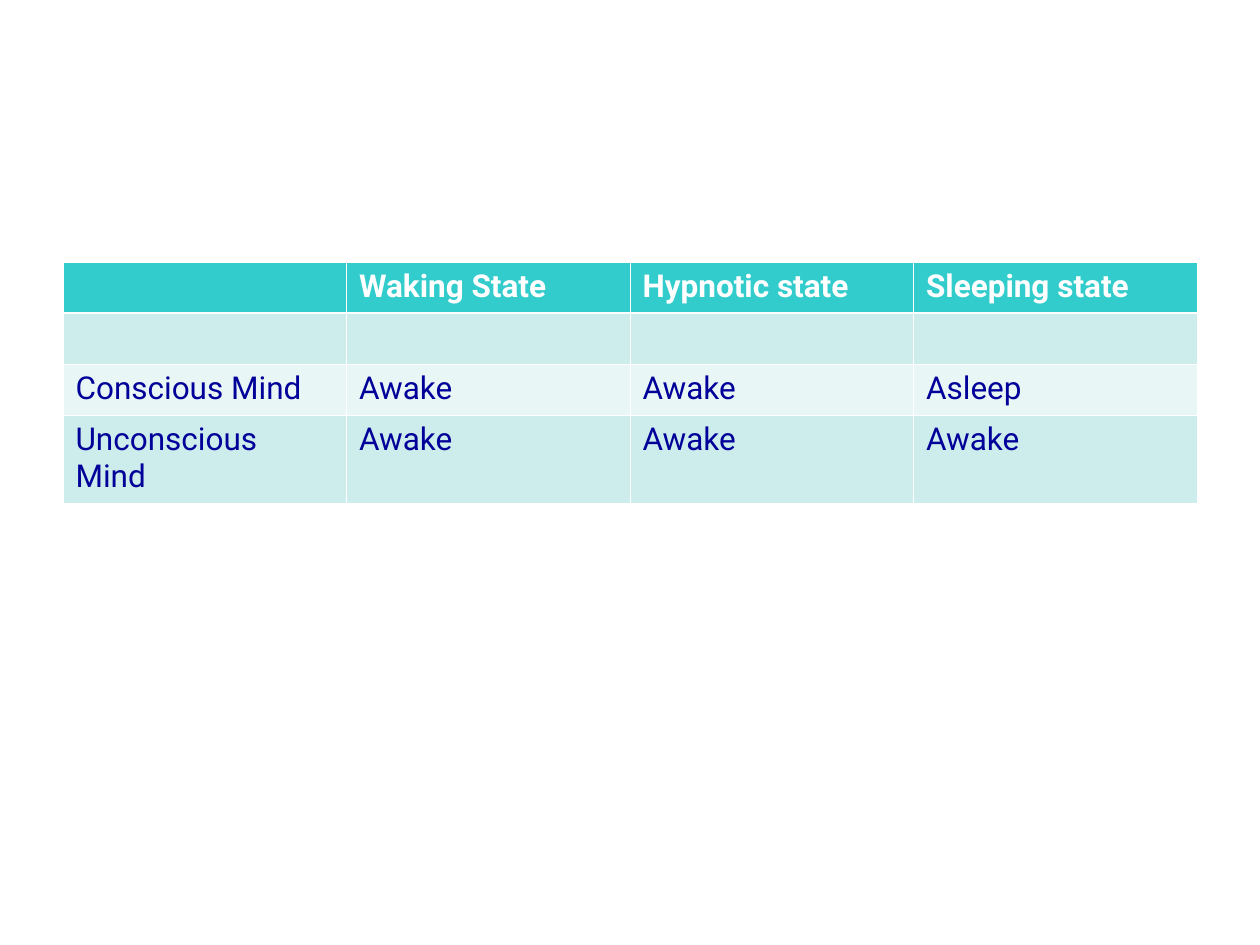
from lxml import etree
from pptx import Presentation
from pptx import util as u
from pptx.dml.color import RGBColor
from pptx.oxml import ns

WHITE = RGBColor(0xFF, 0xFF, 0xFF)
NAVY = RGBColor(0x01, 0x01, 0x99)
TEAL = RGBColor(0x33, 0xCC, 0xCC)
MINT = RGBColor(0xCD, 0xEC, 0xEC)
PALE = RGBColor(0xE8, 0xF6, 0xF6)

PX = u.Inches(1) / 126  # EMU per px
THIN, THICK = 0.45, 1.47  # border widths in points


def px(n):
    return u.Emu(round(n * PX))


def edge(cell, side, width):
    """Draw one white border of a cell."""
    line = etree.SubElement(cell._tc.get_or_add_tcPr(), ns.qn("a:ln" + side),
                            w=str(u.Pt(width)))
    fill = etree.SubElement(line, ns.qn("a:solidFill"))
    etree.SubElement(fill, ns.qn("a:srgbClr"), val=str(WHITE))


# Slide
deck = Presentation()
deck.slide_width, deck.slide_height = px(1260), px(945)
slide = deck.slides.add_slide(deck.slide_layouts[6])

# States of mind table
rows = [
    ("", "Waking State", "Hypnotic state", "Sleeping state"),
    ("", "", "", ""),
    ("Conscious Mind", "Awake", "Awake", "Asleep"),
    ("Unconscious Mind", "Awake", "Awake", "Awake"),
]
highs = [51, 51, 51, 88]
fills = [TEAL, MINT, PALE, MINT]
table = slide.shapes.add_table(len(rows), len(rows[0]), px(63), px(262),
                               px(1134), px(sum(highs))).table

for r, row in enumerate(rows):
    table.rows[r].height = px(highs[r])
    head = r == 0
    style = {"name": "Roboto", "size": u.Pt(18), "bold": head}
    for c, words in enumerate(row):
        cell = table.cell(r, c)
        # Borders come before the fill; a thick rule sits under the header
        widths = {"L": THIN, "R": THIN,
                  "T": THICK if r == 1 else THIN,
                  "B": THICK if head else THIN}
        for side, width in widths.items():
            edge(cell, side, width)
        cell.fill.solid()
        cell.fill.fore_color.rgb = fills[r]
        # Text
        cell.text = words
        font = cell.text_frame.paragraphs[0].font
        for key, value in style.items():
            setattr(font, key, value)
        font.color.rgb = WHITE if head else NAVY

deck.save("out.pptx")
